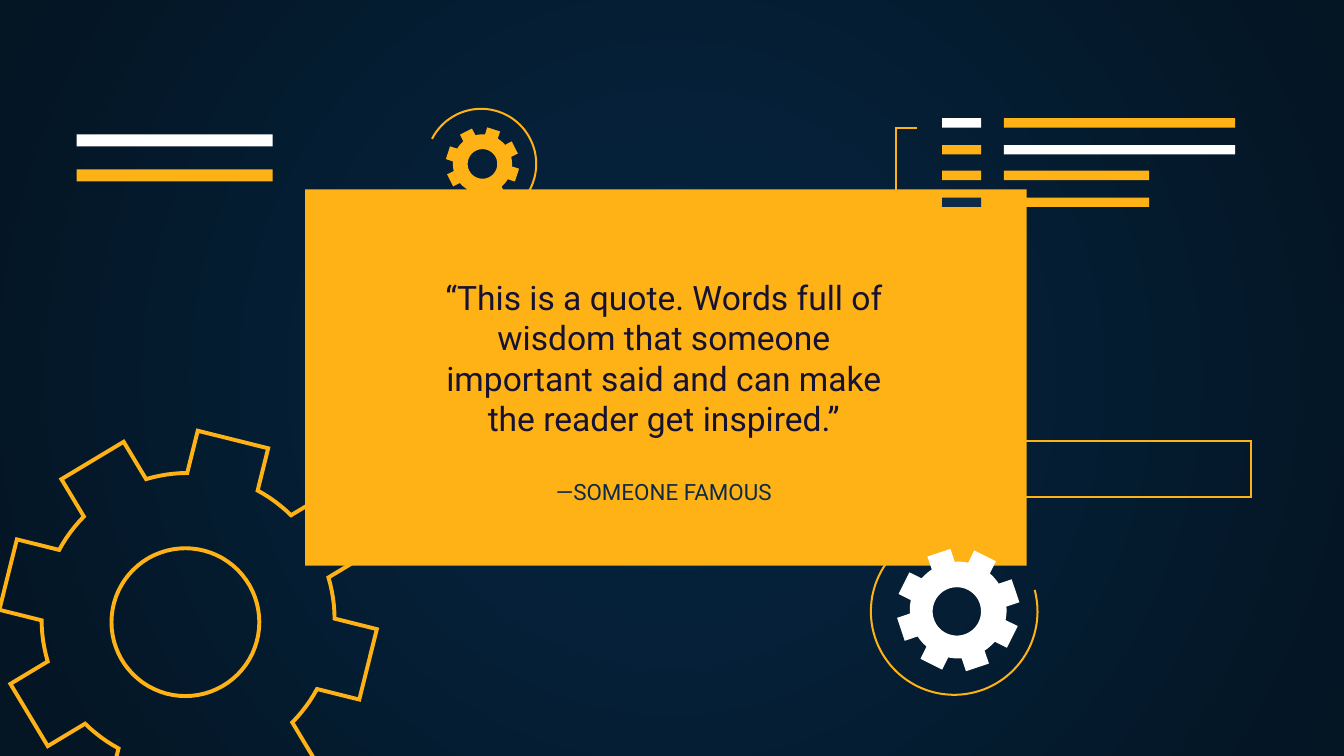
from math import asin, cos, degrees, hypot, radians, sin

from lxml import etree
from pptx import Presentation
from pptx.dml.color import RGBColor
from pptx.enum import shapes, text
from pptx.oxml.ns import qn
from pptx.util import Inches, Pt

AMBER = RGBColor(0xFF, 0xB2, 0x15)
WHITE = RGBColor(0xFF, 0xFF, 0xFF)
NAVY = RGBColor(0x0E, 0x2A, 0x47)
INK = RGBColor(0x16, 0x12, 0x34)
BG_CENTER = RGBColor(0x05, 0x26, 0x43)
BG_EDGE = RGBColor(0x04, 0x15, 0x23)
FONT = "Roboto"
THIN = 1.09
TEETH = 8


def set_background(s):
    fill = s.background.fill
    fill.gradient()
    for stop, color in zip(fill.gradient_stops, (BG_CENTER, BG_EDGE)):
        stop.color.rgb = color
    grad = next(s.element.iter(qn("a:gradFill")))
    grad.remove(grad.find(qn("a:lin")))
    radial = etree.SubElement(grad, qn("a:path"), path="circle")
    etree.SubElement(radial, qn("a:fillToRect"),
                     l="50000", t="50000", r="50000", b="50000")


def paint(sp, fill=None, line=None, width=THIN):
    sp.shadow.inherit = False
    if fill is None:
        sp.fill.background()
    else:
        sp.fill.solid()
        sp.fill.fore_color.rgb = fill
    if line is None:
        sp.line.fill.background()
    else:
        sp.line.color.rgb = line
        sp.line.width = Pt(width)
        ln = next(sp.element.spPr.iter(qn("a:ln")))
        etree.SubElement(ln, qn("a:miter"), lim="800000")


def add_rect(s, x, y, w, h, **style):
    sp = s.shapes.add_shape(shapes.MSO_SHAPE.RECTANGLE,
                            Inches(x), Inches(y), Inches(w), Inches(h))
    paint(sp, **style)


def add_outline(s, contours, closed=False, **style):
    contours = [[(Inches(x), Inches(y)) for x, y in c] for c in contours]
    builder = s.shapes.build_freeform(*contours[0][0], scale=1.0)
    for i, points in enumerate(contours):
        if i:
            builder.move_to(*points[0])
        builder.add_line_segments(points[1:], close=closed)
    paint(builder.convert_to_shape(), **style)


def arc(center, radius, start, end, steps):
    angles = [radians(start + (end - start) * i / steps) for i in range(steps + 1)]
    return [(center[0] + radius * cos(a), center[1] + radius * sin(a)) for a in angles]


def add_gear(s, center, tip, root, half_width, turn, hole_center, hole, **style):
    root_half = degrees(asin(half_width / root))
    corner = hypot(tip, half_width)
    tip_half = degrees(asin(half_width / corner))
    pitch = 360 / TEETH
    rim = []
    for i in range(TEETH):
        mid = turn + i * pitch
        rim += arc(center, corner, mid - tip_half, mid + tip_half, 1)
        rim += arc(center, root, mid + root_half, mid + pitch - root_half, 6)
    add_outline(s, [rim, arc(hole_center, hole, 360, 0, 72)[:-1]], closed=True, **style)


def add_text(s, x, y, w, h, words, size, color, anchor):
    tf = s.shapes.add_textbox(Inches(x), Inches(y), Inches(w), Inches(h)).text_frame
    tf.word_wrap = True
    tf.vertical_anchor = anchor
    tf.margin_left = tf.margin_right = tf.margin_top = tf.margin_bottom = Inches(0.1)
    p = tf.paragraphs[0]
    p.text = words
    p.alignment = text.PP_ALIGN.CENTER
    font = p.runs[0].font
    font.name, font.size = FONT, Pt(size)
    font.color.rgb = color


def add_code_lines(s):
    rows = [(0.88, 1.72, WHITE, AMBER), (1.08, 1.72, AMBER, WHITE),
            (1.27, 1.08, AMBER, AMBER), (1.47, 1.08, NAVY, AMBER)]
    for y, width, tag_color, line_color in rows:
        add_rect(s, 7.01, y, 0.29, 0.07, fill=tag_color)
        add_rect(s, 7.47, y, width, 0.07, fill=line_color)


def main():
    prs = Presentation()
    prs.slide_width = Inches(10)
    prs.slide_height = prs.slide_width * 9 // 16
    s = prs.slides.add_slide(prs.slide_layouts[6])
    set_background(s)

    add_rect(s, 2.27, 1.41, 5.37, 2.8, fill=AMBER)
    add_outline(s, [arc((3.58, 1.22), 0.41, 207, 455, 80)], line=AMBER)
    add_outline(s, [arc((7.1, 4.55), 0.62, -15, 233.5, 80)], line=AMBER)
    add_gear(s, (1.4, 4.61), 1.38, 1.09, 0.27, 14, (1.38, 4.63), 0.55,
             line=AMBER, width=2.1)
    add_gear(s, (7.13, 4.54), 0.45, 0.36, 0.09, 26.4, (7.12, 4.55), 0.18, fill=WHITE)
    add_gear(s, (3.59, 1.22), 0.27, 0.22, 0.05, 18, (3.59, 1.22), 0.11, fill=AMBER)

    add_code_lines(s)
    add_outline(s, [[(6.83, 1.56), (6.67, 1.56), (6.67, 0.95), (6.82, 0.95)]], line=AMBER)
    for y, color in ((1, WHITE), (1.26, AMBER)):
        add_rect(s, 0.57, y, 1.46, 0.09, fill=color)
    add_rect(s, 7.2, 3.28, 2.11, 0.42, line=AMBER)

    add_text(s, 3.01, 1.74, 3.86, 2.12, "—SOMEONE FAMOUS", 12, NAVY,
             text.MSO_ANCHOR.BOTTOM)
    add_text(s, 3.05, 1.96, 3.78, 1.55,
             "“This is a quote. Words full of wisdom that someone important said "
             "and can make the reader get inspired.”", 18, INK, text.MSO_ANCHOR.TOP)
    prs.save("out.pptx")


if __name__ == "__main__":
    main()
